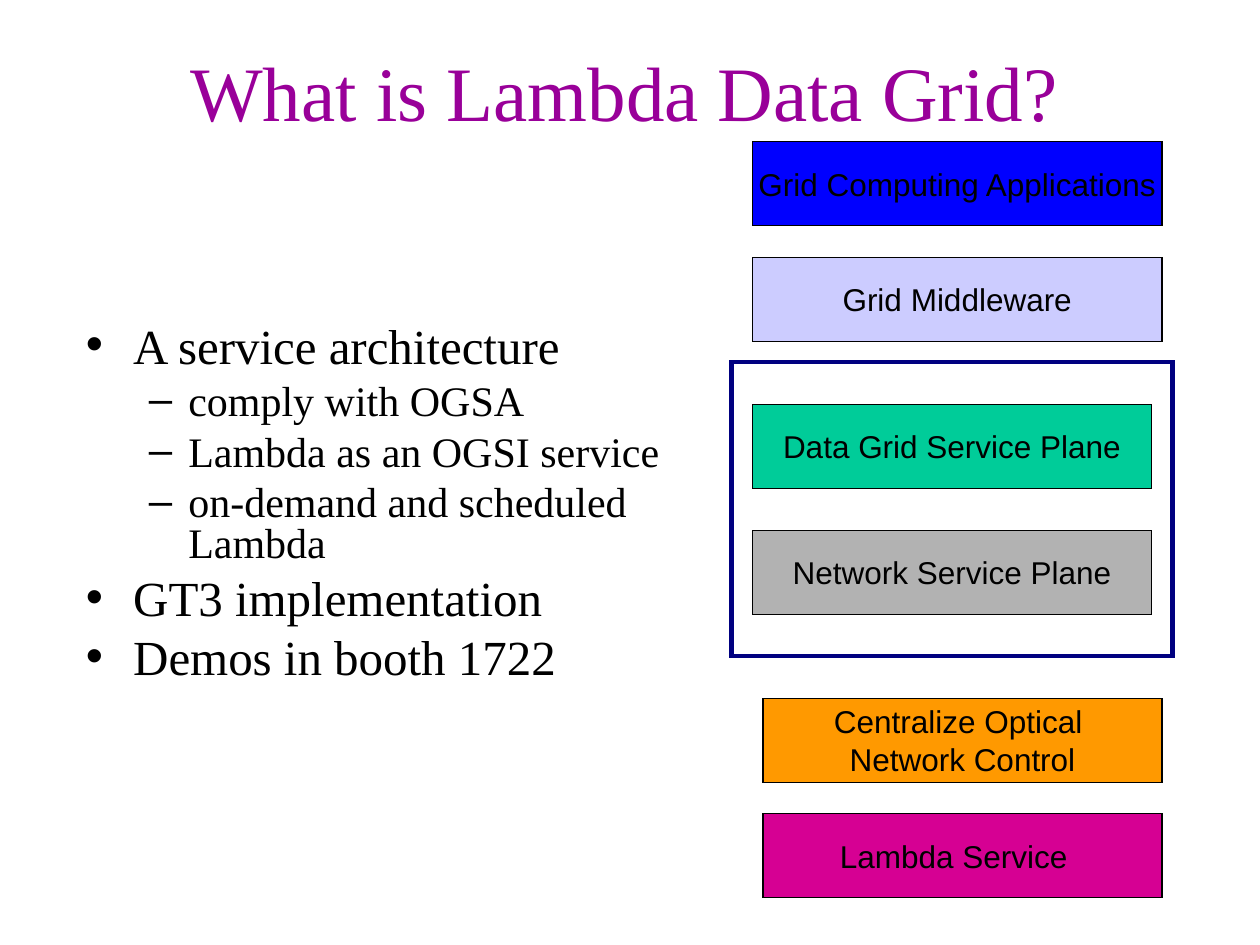
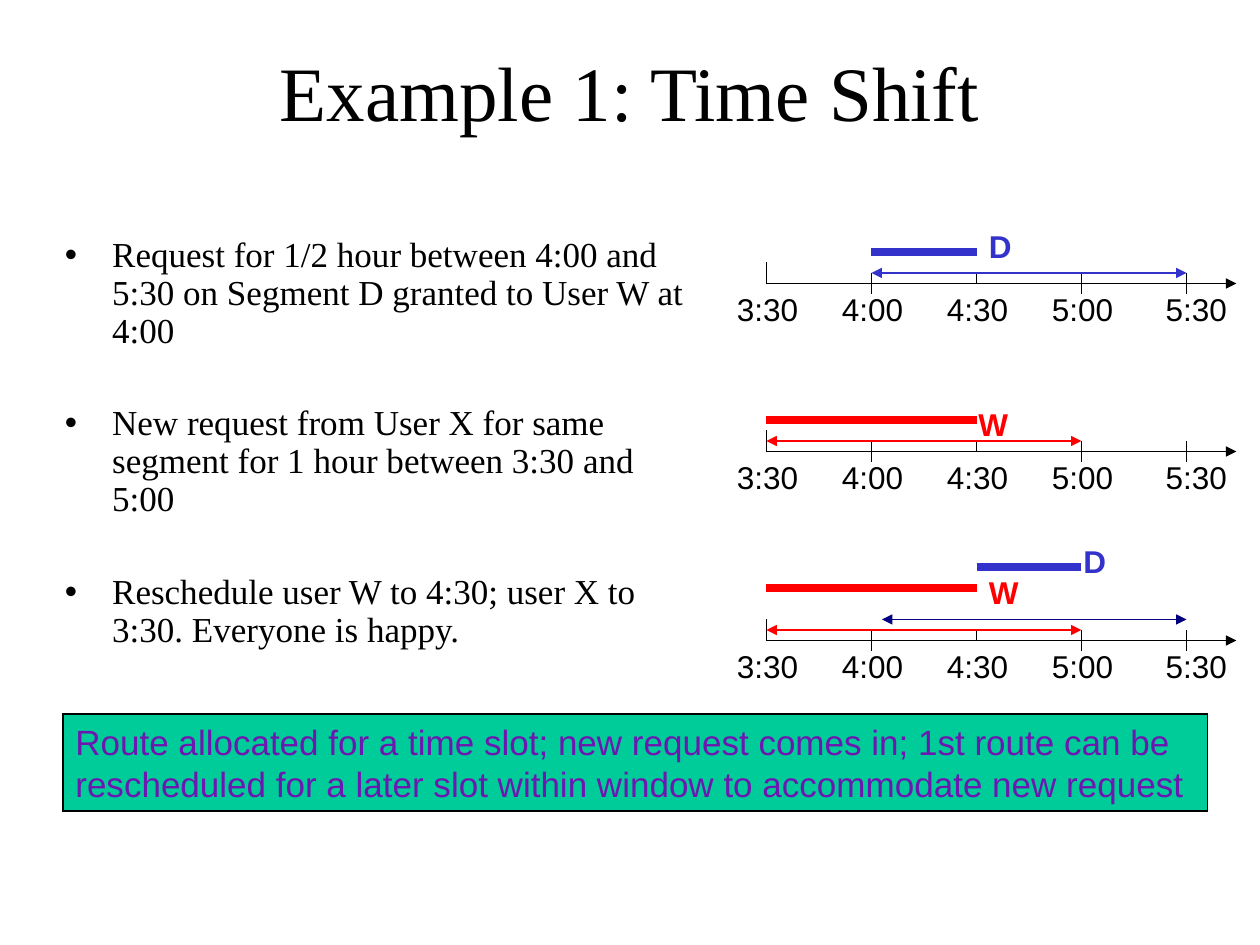
from pptx import Presentation
from pptx.dml.color import RGBColor
from pptx.enum.shapes import MSO_CONNECTOR as Link, MSO_SHAPE as Form
from pptx.enum.text import MSO_ANCHOR as Anchor, PP_ALIGN as Align
from pptx.oxml.ns import qn
from pptx.util import Pt
from lxml.etree import SubElement as Sub

BLACK = RGBColor(0x00, 0x00, 0x00)
PURPLE = RGBColor(0x99, 0x00, 0x99)
VIOLET = RGBColor(0x6C, 0x18, 0xB0)
GREEN = RGBColor(0x00, 0xCC, 0x99)
GRAY = RGBColor(0xB2, 0xB2, 0xB2)
ORANGE = RGBColor(0xFF, 0x99, 0x00)
PINK = RGBColor(0xD6, 0x00, 0x93)
BLUE = RGBColor(0x00, 0x00, 0xFF)
LILAC = RGBColor(0xCC, 0xCC, 0xFF)
NAVY = RGBColor(0x00, 0x00, 0x80)
INDIGO = RGBColor(0x33, 0x33, 0xCC)
RED = RGBColor(0xFF, 0x00, 0x00)

SERIF, SANS = "Times New Roman", "Arial"

# Bullet levels: mark, left margin, hanging indent
LEVELS = [("•", 27, 27), ("–", 58.5, 22.5)]

# Time axis: first tick, width of a half hour, right end
START, SLOT, END = 438, 60, 706.5
TIMES = ["3:30", "4:00", "4:30", "5:00", "5:30"]
# Reach of each tick above and below the axis
TICKS = [(12, 0), (6, 6), (6, 0), (6, 6), (6, 6)]


class Deck:
    def __init__(self):
        self.prs = Presentation()
        self.prs.slide_width, self.prs.slide_height = Pt(720), Pt(540)

    def page(self):
        self.slide = self.prs.slides.add_slide(self.prs.slide_layouts[6])
        self.pen = self.slide.shapes

    def group(self):
        self.pen = self.slide.shapes.add_group_shape().shapes

    def style(self, para, size, color, face=SANS, bold=False):
        font = para.font
        font.size, font.name, font.bold = Pt(size), face, bold
        font.color.rgb = color

    def text(self, words, x, y, w, h, size=18, color=BLACK, face=SANS,
             bold=False, align=Align.LEFT, wrap=False):
        frame = self.pen.add_textbox(Pt(x), Pt(y), Pt(w), Pt(h)).text_frame
        frame.word_wrap = wrap
        para = frame.paragraphs[0]
        para.text, para.alignment = words, align
        self.style(para, size, color, face, bold)

    def title(self, words, x, w, h, color=BLACK):
        self.text(words, x, 22, w, h, 44, color, SERIF,
                  align=Align.CENTER, wrap=True)

    def bullets(self, items, x, y, w, h, pitch):
        """Each item is (words, level, size, space before)."""
        frame = self.pen.add_textbox(Pt(x), Pt(y), Pt(w), Pt(h)).text_frame
        frame.word_wrap = True
        for i, (words, level, size, gap) in enumerate(items):
            para = frame.add_paragraph() if i else frame.paragraphs[0]
            para.text, para.level = words, level
            mark, left, hang = LEVELS[level]
            props = para._p.get_or_add_pPr()
            props.set("marL", str(Pt(left)))
            props.set("indent", str(-Pt(hang)))
            Sub(props, qn("a:buFont"), typeface=SANS)
            Sub(props, qn("a:buChar"), char=mark)
            para.line_spacing = pitch
            para.space_before = Pt(gap)
            self.style(para, size, BLACK, SERIF)

    def box(self, x, y, w, h, fill=None, line=BLACK, width=0.75):
        shape = self.pen.add_shape(Form.RECTANGLE, Pt(x), Pt(y), Pt(w), Pt(h))
        shape.shadow.inherit = False
        if fill is None:
            shape.fill.background()
        else:
            shape.fill.solid()
            shape.fill.fore_color.rgb = fill
        shape.line.color.rgb, shape.line.width = line, Pt(width)
        Sub(shape.line._get_or_add_ln(), qn("a:miter"), lim="800000")
        return shape.text_frame

    def label(self, frame, words, size=18, color=BLACK, align=Align.CENTER,
              anchor=Anchor.MIDDLE, wrap=False):
        frame.word_wrap, frame.vertical_anchor = wrap, anchor
        frame.text = words
        for para in frame.paragraphs:
            para.alignment = align
            self.style(para, size, color)

    def line(self, x1, y1, x2, y2, color=BLACK, width=0.75, ends=()):
        link = self.pen.add_connector(Link.STRAIGHT, Pt(x1), Pt(y1),
                                      Pt(x2), Pt(y2))
        link.line.color.rgb, link.line.width = color, Pt(width)
        for end in ends:
            Sub(link.line._get_or_add_ln(), qn("a:" + end), type="triangle")
        Sub(link._element.spPr, qn("a:effectLst"))

    def axis(self, y):
        self.line(START, y, END, y, ends=["tailEnd"])
        for i, (time, (up, down)) in enumerate(zip(TIMES, TICKS)):
            x = START + i * SLOT
            self.line(x, y - up, x, y + down)
            shift = 19 if time == TIMES[-1] else 24
            self.text(time, x - shift, y, 52, 29)

    def bar(self, first, last, y, color):
        self.line(START + first * SLOT, y, START + last * SLOT, y, color, 5)

    def window(self, first, last, y, color):
        self.line(START + first * SLOT, y, START + last * SLOT, y, color,
                  ends=["headEnd", "tailEnd"])


def stack(deck):
    deck.page()
    deck.title("What is Lambda Data Grid?", 41.5, 631, 66, PURPLE)
    deck.bullets([
        ("A service architecture", 0, 28, 0),
        ("comply with OGSA", 1, 24, 6),
        ("Lambda as an OGSI service", 1, 24, 6),
        ("on-demand and scheduled Lambda", 1, 24, 6),
        ("GT3 implementation", 0, 28, 7),
        ("Demos in booth 1722", 0, 28, 7),
    ], 42, 183, 386, 233, 0.8)

    # Layers of the architecture; inset moves a label to the left
    for words, x, y, w, fill, inset in [
        ("Grid Computing Applications", 430, 81, 234, BLUE, 7.2),
        ("Grid Middleware", 430, 147, 234, LILAC, 7.2),
        ("Data Grid Service Plane", 430, 231, 228, GREEN, 7.2),
        ("Network Service Plane", 430, 303, 228, GRAY, 7.2),
        ("Centralize Optical \nNetwork Control", 436, 399, 228, ORANGE, 7.2),
        ("Lambda Service", 436, 465, 228, PINK, 17.2),
    ]:
        frame = deck.box(x, y, w, 48, fill)
        frame.margin_right = Pt(inset)
        deck.label(frame, words)

    # Frame around the two service planes
    deck.box(418, 207, 252, 168, line=NAVY, width=2.5)


def shift(deck):
    deck.page()
    deck.title("Example 1: Time Shift", 36, 648, 90)
    deck.bullets([
        ("Request for 1/2 hour between 4:00 and 5:30 on Segment D "
         "granted to User W at 4:00", 0, 20, 0),
        ("New request from User X for same segment for 1 hour "
         "between 3:30 and 5:00", 0, 20, 31.5),
        ("Reschedule user W to 4:30; user X to 3:30. "
         "Everyone is happy.", 0, 20, 31.5),
    ], 30, 132, 378, 264, 0.9)

    # Summary banner
    deck.label(deck.box(36, 408, 654, 55.5, GREEN),
               "Route allocated for a time slot; new request comes in; "
               "1st route can be rescheduled for a later slot within window "
               "to accommodate new request",
               20, VIOLET, Align.LEFT, Anchor.TOP, True)

    # Timelines: axis height, bars (first, last, rise, color),
    # windows (same), tags (words, x, rise, color)
    for y, bars, spans, tags in [
        (162, [(1, 2, 18, INDIGO)], [(1, 4, 6, INDIGO)],
         [("D", 558, 36, INDIGO)]),
        (258, [(0, 2, 18, RED)], [(0, 3, 6, RED)],
         [("W", 552, 30, RED)]),
        (366, [(0, 2, 30, RED), (2, 3, 42, INDIGO)],
         [(0, 3, 6, RED), (1.1, 4, 12, NAVY)],
         [("D", 612, 60, INDIGO), ("W", 558, 42, RED)]),
    ]:
        deck.group()
        deck.axis(y)
        for first, last, rise, color in bars:
            deck.bar(first, last, y - rise, color)
        for first, last, rise, color in spans:
            deck.window(first, last, y - rise, color)
        for words, x, rise, color in tags:
            deck.text(words, x, y - rise, 32, 29, color=color, bold=True)


def main():
    deck = Deck()
    stack(deck)
    shift(deck)
    deck.prs.save("out.pptx")


if __name__ == "__main__":
    main()
